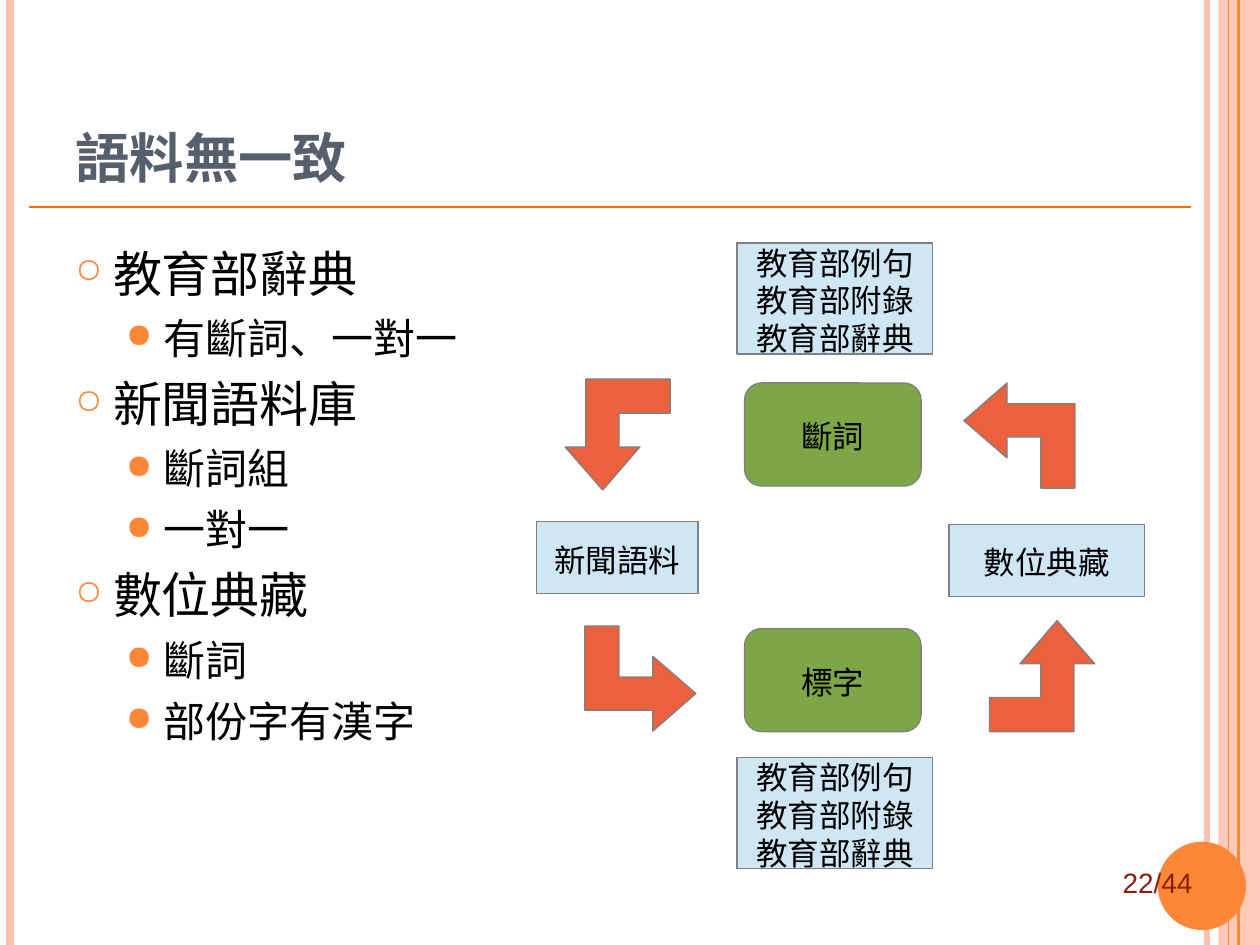
from lxml import etree
from pptx import Presentation
from pptx.dml.color import RGBColor
from pptx.enum.shapes import MSO_CONNECTOR, MSO_SHAPE
from pptx.enum.text import MSO_ANCHOR, MSO_AUTO_SIZE, PP_ALIGN
from pptx.oxml.ns import qn
from pptx.util import Cm, Pt

STRAIGHT = MSO_CONNECTOR.STRAIGHT
RECTANGLE, ELLIPSE = MSO_SHAPE.RECTANGLE, MSO_SHAPE.OVAL
PROCESS = MSO_SHAPE.FLOWCHART_PROCESS
STEP = MSO_SHAPE.FLOWCHART_ALTERNATE_PROCESS
MIDDLE, BOTTOM = MSO_ANCHOR.MIDDLE, MSO_ANCHOR.BOTTOM
CENTER, LEFT = PP_ALIGN.CENTER, PP_ALIGN.LEFT
NO_FIT = MSO_AUTO_SIZE.NONE

PEACH = RGBColor(0xFE, 0xC3, 0xAE)
ORANGE = RGBColor(0xFE, 0x86, 0x37)
RULE_ORANGE = RGBColor(0xFF, 0x69, 0x03)
SLATE = RGBColor(0x57, 0x5F, 0x6D)
MAROON = RGBColor(0x86, 0x21, 0x10)
GREEN = RGBColor(0x7D, 0xA6, 0x47)
PALE_BLUE = RGBColor(0xCF, 0xE7, 0xF5)
RED = RGBColor(0xEB, 0x61, 0x3D)
GRAY = RGBColor(0x80, 0x80, 0x80)
BLACK = RGBColor(0, 0, 0)


def paint(shape, fill, alpha=None, outline=None):
    shape.shadow.inherit = False
    shape.fill.solid()
    shape.fill.fore_color.rgb = fill
    if alpha:
        color = shape.fill._xPr.find(qn("a:solidFill"))[0]
        etree.SubElement(color, qn("a:alpha"), val=str(alpha * 1000))
    if outline:
        shape.line.color.rgb = outline
        shape.line.width = Pt(0.75)
    else:
        shape.line.fill.background()


def style(paragraph, font_name, size, color, bold=False):
    for run in paragraph.runs:
        run.font.name = font_name
        run.font.size = Pt(size)
        run.font.color.rgb = color
        run.font.bold = bold


prs = Presentation()
prs.slide_width, prs.slide_height = Cm(25.4), Cm(19.05)
slide = prs.slides.add_slide(prs.slide_layouts[5])
shapes = slide.shapes

side_band = shapes.add_shape(RECTANGLE, Cm(24.56), 0, Cm(0.84), Cm(19.05))
paint(side_band, PEACH, alpha=87)

rules = [
    (24.33, 0, 24.33, 19.05, PEACH, 3),
    (0.2, 0, 0.2, 19.05, PEACH, 4.5),
    (24.97, 0, 24.97, 19.05, ORANGE, 1.5),
    (24.77, 0, 24.77, 19.05, ORANGE, 0.75),
    (0.58, 4.17, 24, 4.17, RULE_ORANGE, 1),
]
for x1, y1, x2, y2, color, width in rules:
    rule = shapes.add_connector(STRAIGHT, Cm(x1), Cm(y1), Cm(x2), Cm(y2))
    rule.line.color.rgb = color
    rule.line.width = Pt(width)
    etree.SubElement(rule._element.spPr, qn("a:effectLst"))

page_disc = shapes.add_shape(ELLIPSE, Cm(23.34), Cm(16.97), Cm(1.78), Cm(1.78))
paint(page_disc, ORANGE)

page_number = shapes.add_textbox(Cm(22.38), Cm(17.32), Cm(3.86), Cm(0.94)).text_frame
page_number.word_wrap = False
page_number.text = "22/44"
style(page_number.paragraphs[0], "Arial", 16, MAROON)

title = shapes.title
title.left, title.top, title.width, title.height = Cm(1.27), Cm(0.76), Cm(21.95), Cm(3.18)
title.text_frame.text = "語料無一致"
title.text_frame.auto_size = NO_FIT
title.text_frame.vertical_anchor = BOTTOM
title.text_frame.paragraphs[0].alignment = LEFT
style(title.text_frame.paragraphs[0], "Montserrat", 31, SLATE, bold=True)

levels = [("○", 70, 0.76, 28), ("●", 80, 1.78, 24)]
outline = [
    (0, "教育部辭典"),
    (1, "有斷詞、一對一"),
    (0, "新聞語料庫"),
    (1, "斷詞組"),
    (1, "一對一"),
    (0, "數位典藏"),
    (1, "斷詞"),
    (1, "部份字有漢字"),
]
corpora = shapes.add_textbox(Cm(1.27), Cm(4.78), Cm(20.75), Cm(13.21)).text_frame
corpora.word_wrap = True
corpora.text = "\n".join(text for _, text in outline)
for index, (paragraph, (level, _)) in enumerate(zip(corpora.paragraphs, outline)):
    bullet, bullet_size, margin, size = levels[level]
    paragraph.level = level
    paragraph.space_before = Pt(6 if index else 0)
    properties = paragraph._p.get_or_add_pPr()
    properties.set("marL", str(Cm(margin)))
    properties.set("indent", str(-Cm(0.76)))
    bullet_color = etree.SubElement(properties, qn("a:buClr"))
    etree.SubElement(bullet_color, qn("a:srgbClr"), val=str(ORANGE))
    etree.SubElement(properties, qn("a:buSzPct"), val=str(bullet_size * 1000))
    etree.SubElement(properties, qn("a:buChar"), char=bullet)
    style(paragraph, "Noto Sans CJK SC", size, BLACK)

ministry = "教育部例句\n教育部附錄\n教育部辭典"
cycle = [
    (STEP, GREEN, 15.01, 12.67, 3.56, 2.08, "標字"),
    (PROCESS, PALE_BLUE, 19.13, 10.57, 3.94, 1.45, "數位典藏"),
    (PROCESS, PALE_BLUE, 10.82, 10.52, 3.25, 1.45, "新聞語料"),
    (PROCESS, PALE_BLUE, 14.86, 15.27, 3.94, 2.24, ministry),
    (STEP, GREEN, 15.01, 7.72, 3.56, 2.08, "斷詞"),
    (PROCESS, PALE_BLUE, 14.86, 4.9, 3.94, 2.24, ministry),
]
for kind, fill, left, top, width, height, text in cycle:
    node = shapes.add_shape(kind, Cm(left), Cm(top), Cm(width), Cm(height))
    paint(node, fill, outline=GRAY)
    frame = node.text_frame
    frame.word_wrap = False
    frame.vertical_anchor = MIDDLE
    frame.margin_top, frame.margin_bottom = Cm(0.2), Cm(0.13)
    frame.text = text
    for paragraph in frame.paragraphs:
        paragraph.alignment = CENTER
        style(paragraph, "Roboto", 18, BLACK)

elbow = [(0, 0), (0, 1.7), (1.37, 1.7), (1.37, 2.12), (2.24, 1.36),
         (1.37, 0.61), (1.37, 1.03), (0.69, 1.03), (0.69, 0)]
elbow_points = [(Cm(x), Cm(y)) for x, y in elbow]
turns = [(11.79, 12.62, 0), (19.89, 12.57, 270), (19.43, 7.72, 180), (11.33, 7.7, 90)]
for left, top, rotation in turns:
    builder = shapes.build_freeform(*elbow_points[0])
    builder.add_line_segments(elbow_points[1:])
    arrow = builder.convert_to_shape(Cm(left), Cm(top))
    arrow.rotation = rotation
    paint(arrow, RED, outline=GRAY)

prs.save("out.pptx")
